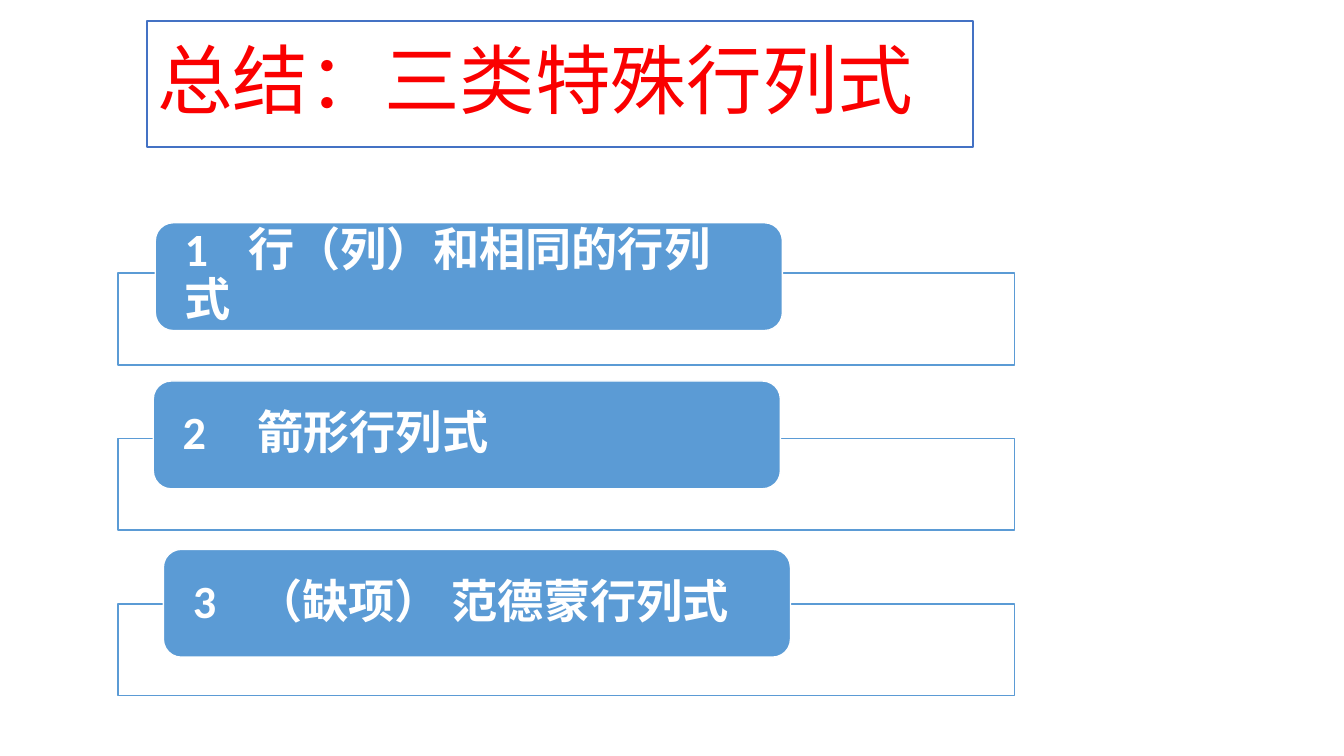
import pptx
import pptx.util
import pptx.dml.color
import pptx.enum.shapes
import pptx.enum.text
import pptx.oxml.ns
import lxml.etree

Inches = pptx.util.Inches
Pt = pptx.util.Pt
SHAPE = pptx.enum.shapes.MSO_SHAPE
TEXT = pptx.enum.text
BLUE = "5B9BD5"
WHITE = "FFFFFF"
CJK = "Noto Sans CJK SC"


def color(text):
    return pptx.dml.color.RGBColor.from_string(text)


def add_tag(node, name, **attrs):
    return lxml.etree.SubElement(node, pptx.oxml.ns.qn(name), **attrs)


def paint(shape, fill, line):
    shape.fill.solid()
    shape.fill.fore_color.rgb = color(fill)
    shape.line.color.rgb = color(line)
    shape.line.width = Pt(1)


def style(para, font, size, ink, bold):
    para.alignment = TEXT.PP_ALIGN.LEFT
    para.line_spacing = 0.9
    for run in para.runs:
        run.font.name = font
        run.font.size = Pt(size)
        run.font.bold = bold
        run.font.color.rgb = color(ink)
        add_tag(run.font._element, "a:ea", typeface=CJK)


def add_title(slide, left, top, width, height):
    title = slide.shapes.title
    title.left, title.top = Inches(left), Inches(top)
    title.width, title.height = Inches(width), Inches(height)
    paint(title, WHITE, "4472C4")
    frame = title.text_frame
    frame.text = "总结：三类特殊行列式"
    frame.auto_size = TEXT.MSO_AUTO_SIZE.NONE
    frame.vertical_anchor = TEXT.MSO_ANCHOR.MIDDLE
    style(frame.paragraphs[0], CJK, 54, "FA0000", False)


def add_box(slide, kind, box, fill, line):
    shape = slide.shapes.add_shape(kind, *map(Inches, box))
    shape.shadow.inherit = False
    paint(shape, fill, line)
    return shape


def add_item(slide, left, top, shift, rise, text, tab):
    # Outline frame behind the label
    frame = add_box(slide, SHAPE.RECTANGLE, (left, top, 8.89, 0.91), WHITE, BLUE)
    shade = frame.fill._xPr.find(".//" + pptx.oxml.ns.qn("a:srgbClr"))
    add_tag(shade, "a:alpha", val="90000")

    # Rounded label
    label = add_box(slide, SHAPE.ROUNDED_RECTANGLE,
                    (left + shift, top - rise, 6.22, 1.07), BLUE, WHITE)
    body = label.text_frame
    body.text = text
    body.word_wrap = True
    body.vertical_anchor = TEXT.MSO_ANCHOR.MIDDLE
    body.margin_left = body.margin_right = Inches(0.24)
    body.margin_top = body.margin_bottom = 0
    para = body.paragraphs[0]
    style(para, "Calibri", 33, WHITE, True)

    # Tab stop between number and name
    stops = add_tag(para._p.get_or_add_pPr(), "a:tabLst")
    add_tag(stops, "a:tab", pos=str(Inches(tab)), algn="l")


def add_list(slide, left, top, step):
    items = [
        (0.37, 0.5, "1\t行（列）和相同的行列式", 0.63),
        (0.35, 0.57, "2\t箭形行列式", 0.74),
        (0.45, 0.54, "3\t（缺项） 范德蒙行列式", 0.63),
    ]
    for row, item in enumerate(items):
        add_item(slide, left, top + row * step, *item)


def main():
    deck = pptx.Presentation()
    deck.slide_width, deck.slide_height = Inches(13.33), Inches(7.5)
    slide = deck.slides.add_slide(deck.slide_layouts[5])
    add_title(slide, 1.46, 0.21, 8.19, 1.25)
    add_list(slide, 1.17, 2.71, 1.64)
    deck.save("out.pptx")


if __name__ == "__main__":
    main()
